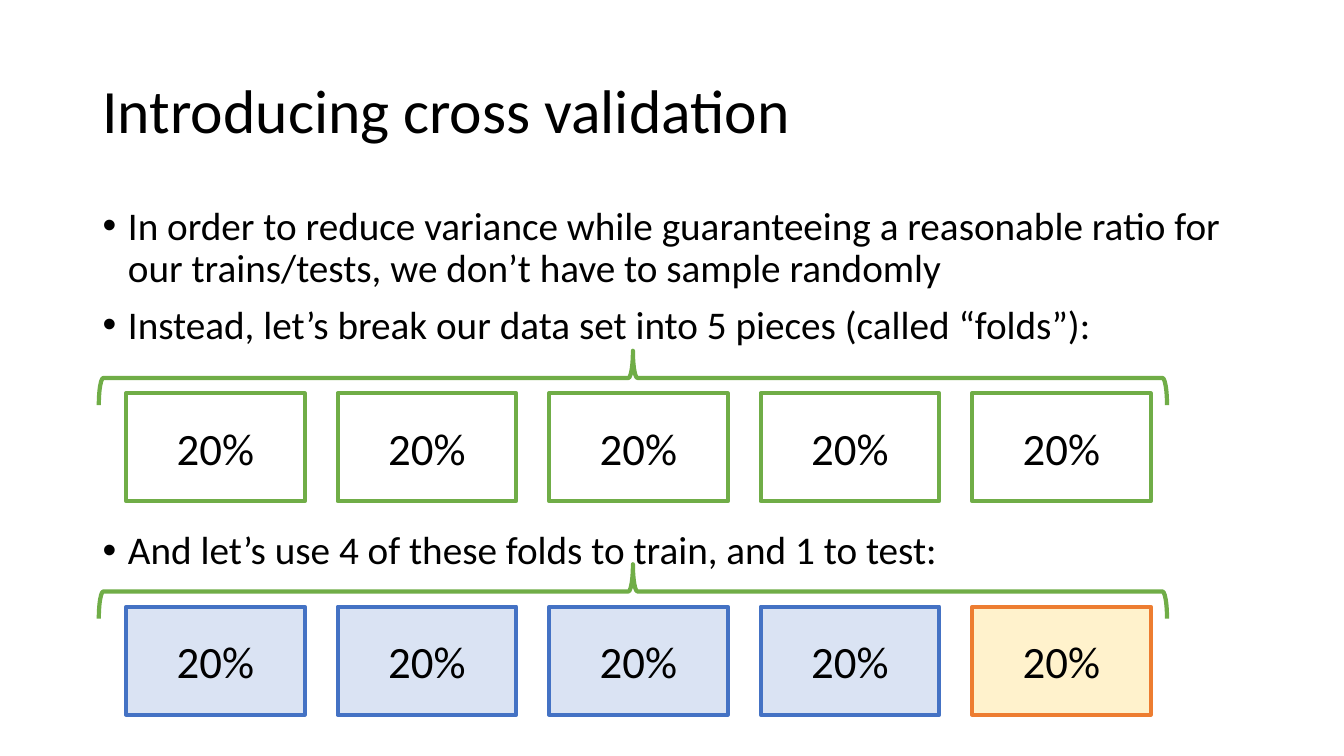
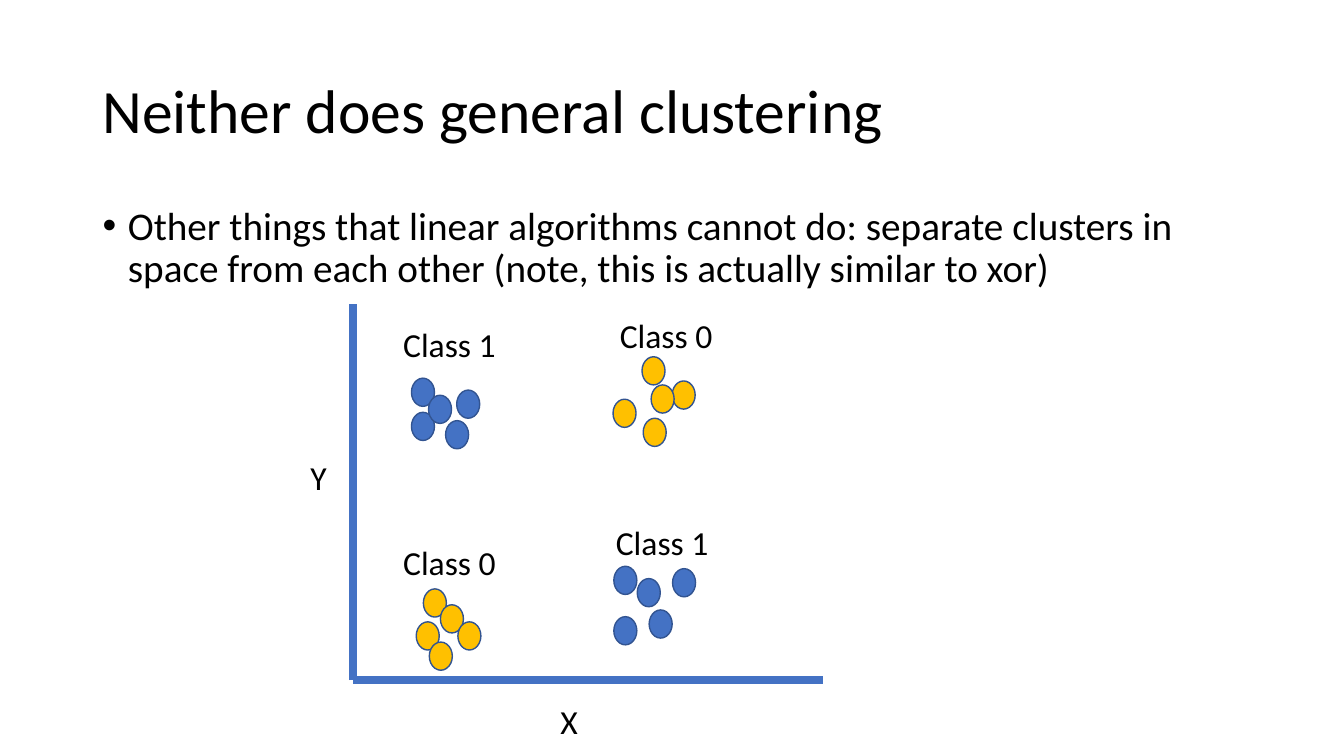
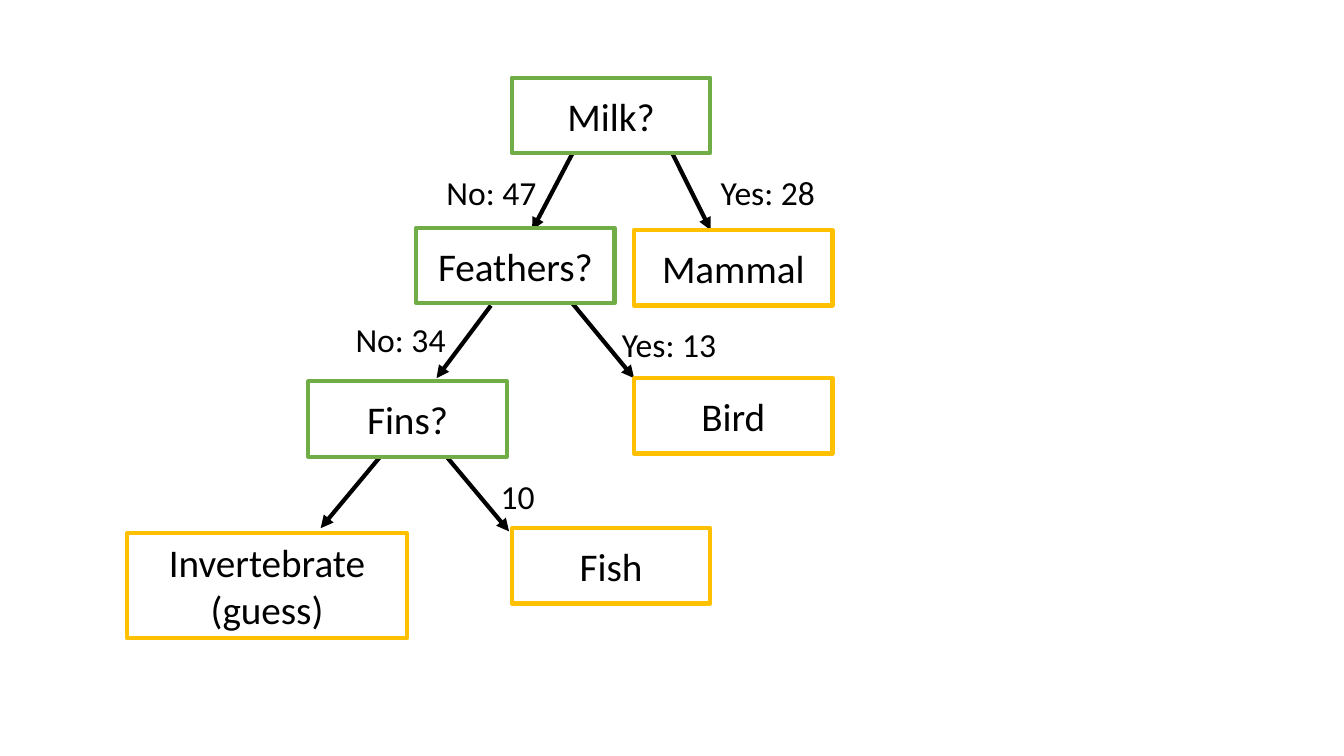
from dataclasses import dataclass

from lxml import etree
from pptx import Presentation
from pptx import util as u
from pptx.dml import color
from pptx.enum import shapes, text
from pptx.oxml import ns


@dataclass(frozen=True)
class Theme:
    """Colours, font and type sizes shared by all slides."""
    font: str = "Calibri"
    black: str = "000000"
    white: str = "FFFFFF"
    green: str = "70AD47"
    blue: str = "4472C4"
    navy: str = "325491"
    pale_blue: str = "DAE3F3"
    orange: str = "ED7D31"
    gold: str = "FFC000"
    cream: str = "FFF2CC"
    title: int = 44
    fold: int = 32
    body: int = 28
    label: int = 24
    outline: int = 3
    axis: int = 6


@dataclass(frozen=True)
class Box:
    """A rectangle in centimetres."""
    left: float
    top: float
    width: float
    height: float

    def inner(self, dx, dy, width, height):
        """Return a box offset from this one's top left corner."""
        return Box(self.left + dx, self.top + dy, width, height)

    def lengths(self):
        """Return the four lengths for python-pptx."""
        return [u.Cm(v) for v in (self.left, self.top, self.width, self.height)]


THEME = Theme()
TITLE_BOX = Box(2.33, 1.01, 29.21, 3.68)
BODY_BOX = Box(2.33, 5.08, 29.21, 13.46)


def rgb(value):
    """Turn a hex string into a colour."""
    return color.RGBColor.from_string(value)


def style_runs(frame, size):
    """Give every run the shared font, colour and a size."""
    for paragraph in frame.paragraphs:
        for run in paragraph.runs:
            run.font.name = THEME.font
            run.font.size = u.Pt(size)
            run.font.color.rgb = rgb(THEME.black)


def fit(placeholder, box):
    """Move a placeholder into a box and stop its text from shrinking."""
    placeholder.left, placeholder.top, placeholder.width, placeholder.height = box.lengths()
    placeholder.text_frame.auto_size = text.MSO_AUTO_SIZE.NONE


def add_heading(slide, heading, box):
    """Fill the title placeholder."""
    title = slide.shapes.title
    fit(title, box)
    frame = title.text_frame
    frame.text = heading
    frame.vertical_anchor = text.MSO_ANCHOR.MIDDLE
    frame.paragraphs[0].alignment = text.PP_ALIGN.LEFT
    frame.paragraphs[0].line_spacing = 0.9
    style_runs(frame, THEME.title)


def add_bullets(slide, bullets, box):
    """Fill the body placeholder with (wording, space before) pairs."""
    body = slide.placeholders[1]
    fit(body, box)
    frame = body.text_frame
    frame.text = "\n".join(wording for wording, _ in bullets)
    for paragraph, (_, space) in zip(frame.paragraphs, bullets):
        paragraph.line_spacing = 0.9
        paragraph.space_before = u.Pt(space)
        properties = paragraph._p.get_or_add_pPr()
        properties.set("marL", str(u.Cm(0.64)))
        properties.set("indent", str(-u.Cm(0.64)))
        etree.SubElement(properties, ns.qn("a:buFont")).set("typeface", "Arial")
        etree.SubElement(properties, ns.qn("a:buChar")).set("char", "•")
    style_runs(frame, THEME.body)


def add_figure(slide, kind, box, line, fill=None, weight=THEME.outline):
    """Add a flat preset shape."""
    figure = slide.shapes.add_shape(kind, *box.lengths())
    figure.shadow.inherit = False
    figure.line.color.rgb = rgb(line)
    figure.line.width = u.Pt(weight)
    if fill:
        figure.fill.solid()
        figure.fill.fore_color.rgb = rgb(fill)
    else:
        figure.fill.background()
    return figure


def add_card(slide, wording, box, line, fill, size):
    """Add an outlined rectangle with centred wording."""
    card = add_figure(slide, shapes.MSO_SHAPE.RECTANGLE, box, line, fill)
    frame = card.text_frame
    frame.text = wording
    frame.word_wrap = True
    frame.vertical_anchor = text.MSO_ANCHOR.MIDDLE
    frame.paragraphs[0].alignment = text.PP_ALIGN.CENTER
    style_runs(frame, size)


def add_label(slide, wording, box):
    """Add a plain label."""
    frame = slide.shapes.add_textbox(*box.lengths()).text_frame
    frame.text = wording
    frame.word_wrap = True
    style_runs(frame, THEME.label)


def add_stroke(slide, box, start, end, line, weight, arrow=False):
    """Draw a line between two points of a box."""
    ends = [u.Cm(base + offset) for point in (start, end)
            for base, offset in zip((box.left, box.top), point)]
    stroke = slide.shapes.add_connector(shapes.MSO_CONNECTOR.STRAIGHT, *ends)
    stroke.line.color.rgb = rgb(line)
    stroke.line.width = u.Pt(weight)
    properties = stroke.element.spPr
    if arrow:
        outline = properties.find(ns.qn("a:ln"))
        etree.SubElement(outline, ns.qn("a:tailEnd")).set("type", "triangle")
    etree.SubElement(properties, ns.qn("a:effectLst"))


def add_folds(slide, box, colours):
    """Draw a row of folds under a brace as wide as the box."""
    depth, inset, step = 1.37, 0.69, 5.33
    for index, (line, fill) in enumerate(colours):
        fold = box.inner(inset + index * step, 1.07, 4.5, box.height - 1.07)
        add_card(slide, "20%", fold, line, fill, THEME.fold)
    upright = box.inner((box.width - depth) / 2, (depth - box.width) / 2, depth, box.width)
    brace = add_figure(slide, shapes.MSO_SHAPE.LEFT_BRACE, upright, THEME.green)
    brace.rotation = 90


def add_cluster(slide, box, wording, fill, dots):
    """Draw a labelled group of dots."""
    for x, y in dots:
        add_figure(slide, shapes.MSO_SHAPE.OVAL, box.inner(x, y, 0.58, 0.71),
                   THEME.navy, fill, 1)
    add_label(slide, wording, box.inner(0, 0, box.width, 1.27))


def add_scatter(slide, box):
    """Draw the two axes and the four clusters."""
    corner = (0, box.height)
    for end in ((box.width, box.height), (0, 0)):
        add_stroke(slide, box, corner, end, THEME.blue, THEME.axis)
    clusters = [
        (1.02, 0.36, "Class 1", THEME.blue,
         [(0.46, 1.5), (1.32, 2.57), (1.6, 1.8), (0.46, 2.36), (0.89, 1.93)]),
        (6.38, 5.36, "Class 1", THEME.blue,
         [(0.2, 1.24), (1.09, 2.34), (0.2, 2.51), (0.79, 1.55), (1.68, 1.3)]),
        (1.02, 5.87, "Class 0", THEME.gold,
         [(0.76, 1.3), (1.19, 1.7), (1.63, 2.13), (0.58, 2.13), (0.91, 2.64)]),
        (6.48, 0.13, "Class 0", THEME.gold,
         [(0.08, 2.26), (1.57, 1.8), (0.84, 2.74), (0.81, 1.19), (1.04, 1.9)]),
    ]
    for x, y, wording, fill, dots in clusters:
        add_cluster(slide, box.inner(x, y, 4.37, 3.5), wording, fill, dots)
    for wording, x, y in (("X", 4.98, 9.86), ("Y", -1.32, 3.71)):
        add_label(slide, wording, box.inner(x, y, 0.97, 1.27))


def add_tree(slide, box):
    """Draw the decision tree: branches, nodes and counts."""
    branches = [
        ((13.74, 1.9), (14.71, 3.84)), ((11.23, 1.9), (10.21, 3.84)),
        ((11.23, 5.69), (12.78, 7.57)), ((9.17, 5.74), (7.8, 7.57)),
        ((8.08, 9.58), (9.63, 11.43)), ((6.38, 9.55), (4.88, 11.35)),
    ]
    for start, end in branches:
        add_stroke(slide, box, start, end, THEME.black, THEME.outline, arrow=True)
    size = (5, 1.9)
    nodes = [
        ("Milk?", THEME.green, 9.7, 0, size),
        ("Mammal", THEME.gold, 12.78, 3.84, size),
        ("Bird", THEME.gold, 12.78, 7.57, size),
        ("Feathers?", THEME.green, 7.29, 3.78, size),
        ("Fins?", THEME.green, 4.57, 7.65, size),
        ("Fish", THEME.gold, 9.7, 11.35, size),
        ("Invertebrate (guess)", THEME.gold, 0, 11.48, (7.06, 2.64)),
    ]
    for wording, line, x, y, extent in nodes:
        add_card(slide, wording, box.inner(x, y, *extent), line, THEME.white, THEME.body)
    counts = [("Yes: 28", 14.71, 2.24), ("No: 47", 7.8, 2.24), ("Yes: 13", 12.22, 6.07),
              ("No: 34", 5.51, 5.94), ("10", 9.17, 9.91)]
    for wording, x, y in counts:
        add_label(slide, wording, box.inner(x, y, 3.53, 1.27))


def add_content_slide(deck, heading, bullets, body_box=BODY_BOX):
    """Add a slide with a title and a bulleted list."""
    slide = deck.slides.add_slide(deck.slide_layouts[1])
    add_heading(slide, heading, TITLE_BOX)
    add_bullets(slide, bullets, body_box)
    return slide


def main():
    """Build the three slides."""
    deck = Presentation()
    deck.slide_width, deck.slide_height = u.Cm(33.87), u.Cm(19.05)

    validation = add_content_slide(deck, "Introducing cross validation", [
        ("In order to reduce variance while guaranteeing a reasonable ratio for "
         "our trains/tests, we don’t have to sample randomly", 10),
        ("Instead, let’s break our data set into 5 pieces (called “folds”):", 10),
        ("And let’s use 4 of these folds to train, and 1 to test:", 131),
    ])
    add_folds(validation, Box(2.49, 8.84, 26.92, 3.79), [(THEME.green, THEME.white)] * 5)
    add_folds(validation, Box(2.49, 14.22, 26.92, 3.79),
              [(THEME.blue, THEME.pale_blue)] * 4 + [(THEME.orange, THEME.cream)])

    clustering = add_content_slide(deck, "Neither does general clustering", [
        ("Other things that linear algorithms cannot do: separate clusters in "
         "space from each other (note, this is actually similar to xor)", 10),
    ], Box(2.33, 5.08, 29.21, 2.59))
    add_scatter(clustering, Box(8.89, 7.67, 11.84, 9.47))

    decision = deck.slides.add_slide(deck.slide_layouts[6])
    add_tree(decision, Box(3.2, 1.96, 17.78, 14.12))

    deck.save("out.pptx")


if __name__ == "__main__":
    main()
